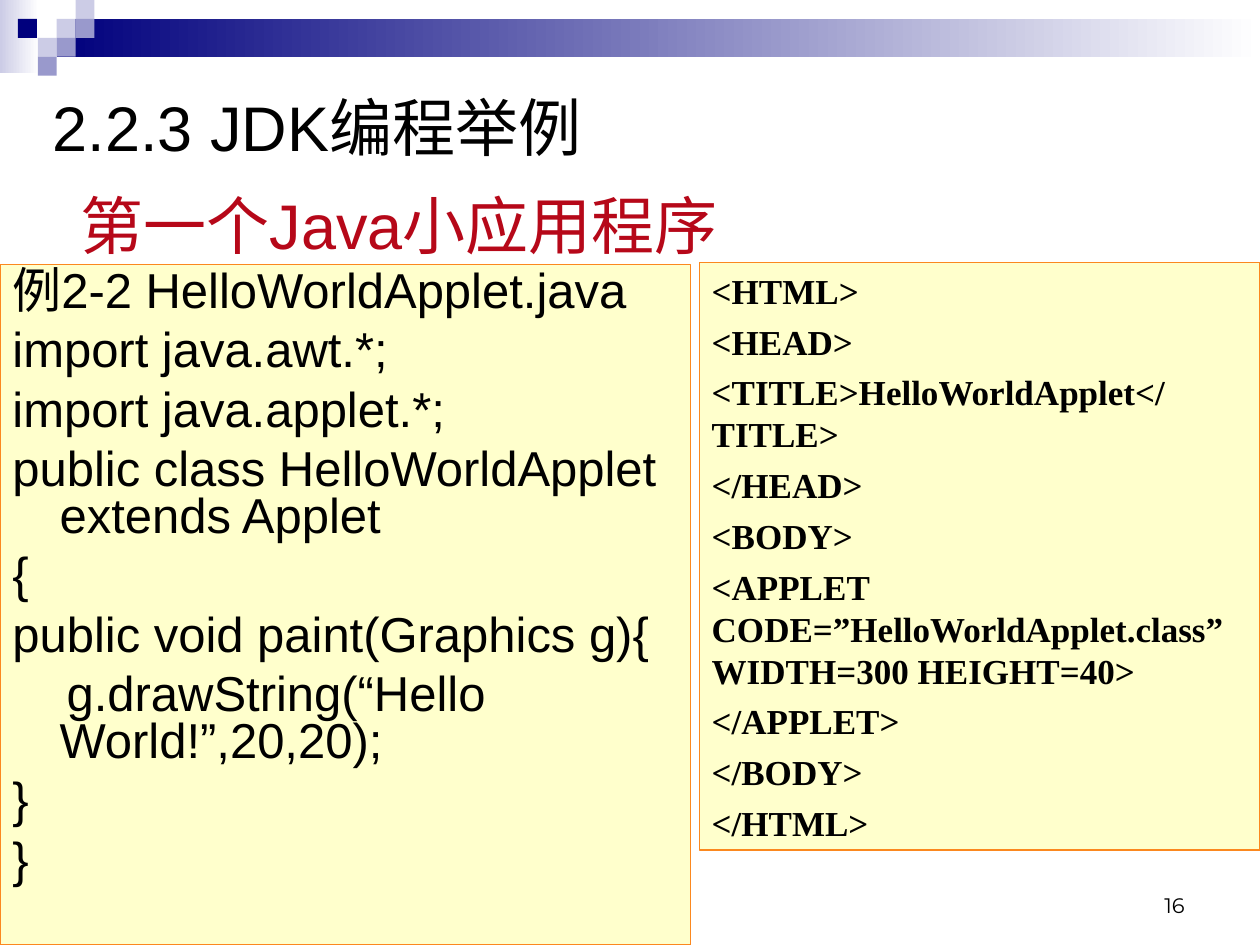
from pptx import Presentation
from pptx import util as u
from pptx.dml import color
from pptx.enum import shapes, text

NAVY, LAVENDER, PERIWINKLE, WHITE = "00007D", "CCCCE6", "9999CC", "FFFFFF"
BLACK, RED, CREAM, ORANGE = "000000", "B60819", "FFFFCC", "FB881F"
CELL = 10.8
MOSAIC = [
    (3, 1, LAVENDER), (4, 0, LAVENDER), (4, 1, PERIWINKLE), (2, 2, LAVENDER),
    (0.95, 1, NAVY), (3, 2, PERIWINKLE), (2, 3, PERIWINKLE),
]
HANGING = (27, -27)
STEPPED = (27, 4)
APPLET_SOURCE = [
    ("例2-2 HelloWorldApplet.java", HANGING),
    ("import java.awt.*;", HANGING),
    ("import java.applet.*;", HANGING),
    ("public class HelloWorldApplet extends Applet", HANGING),
    ("{", HANGING),
    ("public void paint(Graphics g){", HANGING),
    ("g.drawString(“Hello World!”,20,20);", STEPPED),
    ("}", HANGING),
    ("}", HANGING),
]
HTML_PAGE = [
    "<HTML>",
    "<HEAD>",
    "<TITLE>HelloWorldApplet</TITLE>",
    "</HEAD>",
    "<BODY>",
    "<APPLET CODE=”HelloWorldApplet.class” WIDTH=300 HEIGHT=40>",
    "</APPLET>",
    "</BODY>",
    "</HTML>",
]


def rgb(hex_code):
    return color.RGBColor.from_string(hex_code)


def add_block(slide, box, fill, edge=None):
    block = slide.shapes.add_shape(shapes.MSO_SHAPE.RECTANGLE, *map(u.Pt, box))
    block.shadow.inherit = False
    block.fill.solid()
    block.fill.fore_color.rgb = rgb(fill)
    if edge:
        block.line.color.rgb = rgb(edge)
        block.line.width = u.Pt(0.75)
    else:
        block.line.fill.background()
    return block


def add_fade(slide, box, start):
    band = add_block(slide, box, start)
    band.fill.gradient()
    band.fill.gradient_angle = 0
    for stop, position, shade in zip(band.fill.gradient_stops, (0, 1), (start, WHITE)):
        stop.position = position
        stop.color.rgb = rgb(shade)


def set_frame(holder, anchor, wrap=True):
    frame = holder.text_frame
    frame.word_wrap = wrap
    frame.vertical_anchor = anchor
    if not wrap:
        frame.auto_size = text.MSO_AUTO_SIZE.SHAPE_TO_FIT_TEXT
    return frame


def write_line(paragraph, words, size, font="Arial", ink=BLACK, bold=False,
               align=text.PP_ALIGN.LEFT, before=0, spacing=None, indent=None):
    paragraph.alignment = align
    paragraph.space_before = u.Pt(before)
    if spacing:
        paragraph.line_spacing = spacing
    if indent:
        properties = paragraph._p.get_or_add_pPr()
        for name, length in zip(("marL", "indent"), indent):
            properties.set(name, str(u.Pt(length)))
    run = paragraph.add_run()
    run.text = words
    run.font.size = u.Pt(size)
    run.font.name = font
    run.font.bold = bold
    run.font.color.rgb = rgb(ink)


def add_label(slide, box, words, size, anchor=text.MSO_ANCHOR.TOP, wrap=True, **style):
    label = slide.shapes.add_textbox(*map(u.Pt, box))
    frame = set_frame(label, anchor, wrap)
    write_line(frame.paragraphs[0], words, size, **style)


def add_listing(slide, box, lines, anchor, **style):
    panel = add_block(slide, box, CREAM, ORANGE)
    frame = set_frame(panel, anchor)
    for number, (words, indent) in enumerate(lines):
        paragraph = frame.add_paragraph() if number else frame.paragraphs[0]
        write_line(paragraph, words, indent=indent, **style)


def add_header(slide):
    add_fade(slide, (0, 0, 22.3, 41.8), LAVENDER)
    add_fade(slide, (3 * CELL, CELL, 720 - 3 * CELL, 2 * CELL), NAVY)
    for column, row, shade in MOSAIC:
        add_block(slide, (column * CELL, row * CELL, CELL, CELL), shade)


def main():
    deck = Presentation()
    deck.slide_width, deck.slide_height = u.Pt(720), u.Pt(540)
    slide = deck.slides.add_slide(deck.slide_layouts[6])
    add_header(slide)
    add_label(slide, (516, 492, 168, 36), "16", 12, text.MSO_ANCHOR.BOTTOM,
              font="Montserrat", align=text.PP_ALIGN.RIGHT)
    add_label(slide, (39, 98.6, 612, 59), "第一个Java小应用程序", 36,
              text.MSO_ANCHOR.MIDDLE, ink=RED)
    add_listing(slide, (0, 151.2, 394.6, 388.8), APPLET_SOURCE, text.MSO_ANCHOR.TOP,
                size=28, before=7, spacing=0.8)
    add_listing(slide, (399.6, 150.2, 320.4, 335.5), [(tag, None) for tag in HTML_PAGE],
                text.MSO_ANCHOR.MIDDLE, size=20, font="Times New Roman", bold=True, before=5)
    add_label(slide, (23, 46.8, 326, 50.4), "2.2.3 JDK编程举例", 36, wrap=False, before=9)
    deck.save("out.pptx")


if __name__ == "__main__":
    main()
